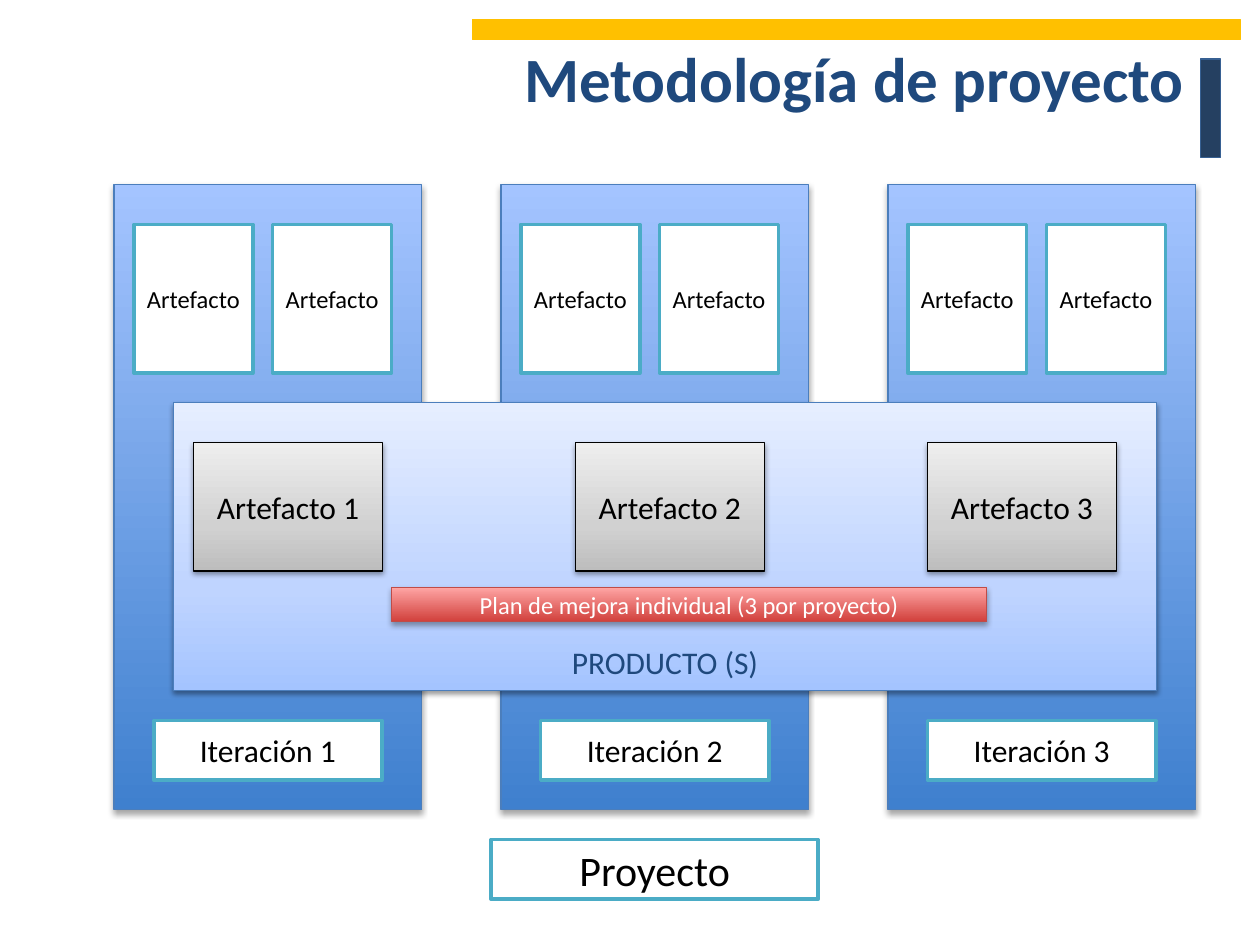
from dataclasses import dataclass
from typing import Optional

from lxml.etree import SubElement
from pptx import Presentation
from pptx.dml.color import RGBColor
from pptx.enum.shapes import MSO_SHAPE
from pptx.enum.text import MSO_ANCHOR as Anchor, PP_ALIGN as Align
from pptx.oxml.ns import qn
from pptx.util import Pt

FONT = "Calibri"
NAVY = "1F497D"
BLACK = "000000"


@dataclass(frozen=True)
class Shadow:
    opacity: int
    distance: float
    blur: float = 3.1


DEEP = Shadow(35, 1.8)
SOFT = Shadow(38, 1.6)


@dataclass(frozen=True)
class Style:
    """Look of a box; stops run from bottom to top as (percent, colour)."""
    stops: tuple
    line: str
    line_width: float = 0.75
    shadow: Optional[Shadow] = None
    text: str = BLACK
    size: float = 18


@dataclass(frozen=True)
class Box:
    left: float
    top: float
    width: float
    height: float


COLUMN = Style(((0, "3F80CE"), (100, "A4C4FF")), "4B7EBC", shadow=DEEP)
PRODUCT = Style(((0, "A4C4FF"), (35, "BFD4FF"), (100, "E6EEFF")), "4B7EBC",
                shadow=SOFT, text=NAVY)
DELIVERABLE = Style(((0, "BDBDBD"), (35, "D1D1D1"), (100, "EEEEEE")), BLACK,
                    shadow=SOFT)
PLAN = Style(((0, "D1403C"), (100, "FFA6A5")), "BF4C48", shadow=DEEP,
             text="FFFFFF", size=14)
ARTIFACT = Style(((0, "FFFFFF"),), "4BACC6", 2, size=14)
ITERATION = Style(((0, "FFFFFF"),), "4BACC6", 2)
PROJECT = Style(((0, "FFFFFF"),), "4BACC6", 2, size=24)
YELLOW_BAR = Style(((0, "FFC000"),), "FFC000")
NAVY_BAR = Style(((0, "254061"),), "376092")


def rgb(value: str) -> RGBColor:
    return RGBColor.from_string(value)


def place(shape, box: Box) -> None:
    shape.left, shape.top = Pt(box.left), Pt(box.top)
    shape.width, shape.height = Pt(box.width), Pt(box.height)


def paint(shape, stops: tuple) -> None:
    if len(stops) == 1:
        shape.fill.solid()
        shape.fill.fore_color.rgb = rgb(stops[0][1])
        return
    shape.fill.gradient()
    shape.fill.gradient_angle = 90
    stop_list = shape._element.spPr.find(qn("a:gradFill")).find(qn("a:gsLst"))
    for old in list(stop_list):
        stop_list.remove(old)
    for percent, colour in stops:
        stop = SubElement(stop_list, qn("a:gs"), pos=str(percent * 1000))
        SubElement(stop, qn("a:srgbClr"), val=colour)


def cast_shadow(shape, shadow: Optional[Shadow]) -> None:
    shape.shadow.inherit = False
    if shadow is None:
        return
    effects = shape._element.spPr.find(qn("a:effectLst"))
    outer = SubElement(effects, qn("a:outerShdw"), blurRad=str(Pt(shadow.blur)),
                       dist=str(Pt(shadow.distance)), dir="5400000",
                       rotWithShape="0")
    colour = SubElement(outer, qn("a:srgbClr"), val=BLACK)
    SubElement(colour, qn("a:alpha"), val=str(shadow.opacity * 1000))


def write(shape, text: str, size: float, colour: str, align=Align.CENTER,
          anchor=Anchor.MIDDLE, bold: bool = False) -> None:
    frame = shape.text_frame
    frame.text = text
    frame.word_wrap = True
    frame.vertical_anchor = anchor
    paragraph = frame.paragraphs[0]
    paragraph.alignment = align
    font = paragraph.runs[0].font
    font.name, font.size, font.bold = FONT, Pt(size), bold
    font.color.rgb = rgb(colour)


def draw(slide, box: Box, style: Style, text: str = "", anchor=Anchor.MIDDLE):
    shape = slide.shapes.add_shape(MSO_SHAPE.RECTANGLE, 0, 0, 0, 0)
    place(shape, box)
    paint(shape, style.stops)
    shape.line.color.rgb = rgb(style.line)
    shape.line.width = Pt(style.line_width)
    cast_shadow(shape, style.shadow)
    if text:
        frame = shape.text_frame
        frame.margin_left = frame.margin_right = 0
        frame.margin_top = frame.margin_bottom = Pt(0)
        write(shape, text, style.size, style.text, anchor=anchor)
    return shape


def main() -> None:
    deck = Presentation()
    deck.slide_width, deck.slide_height = Pt(720), Pt(540)
    slide = deck.slides.add_slide(deck.slide_layouts[5])

    draw(slide, Box(686.2, 33.8, 11.4, 56.2), NAVY_BAR)
    draw(slide, Box(270, 11.3, 438.8, 11.4), YELLOW_BAR)
    title = slide.shapes.title
    place(title, Box(36, 21.6, 648, 90))
    write(title, "Metodología de proyecto", 36, NAVY, Align.RIGHT, Anchor.TOP,
          bold=True)
    title.text_frame.margin_top = Pt(1)

    column_lefts = [65.2 + 221.1 * index for index in range(3)]
    for left in column_lefts:
        draw(slide, Box(left, 105.6, 175.8, 357.2), COLUMN)

    product = draw(slide, Box(99.2, 230, 561.6, 164.6), PRODUCT,
                   "PRODUCTO (S)", Anchor.BOTTOM)
    product.text_frame.margin_bottom = Pt(5.3)

    for left in column_lefts:
        for offset in (11.3, 90.6):
            draw(slide, Box(left + offset, 128.2, 68, 85), ARTIFACT, "Artefacto")

    for number, left in enumerate((110.6, 328.8, 530), 1):
        draw(slide, Box(left, 252.8, 108, 73.6), DELIVERABLE,
             f"Artefacto {number}")

    draw(slide, Box(223.9, 335.6, 340, 19.6), PLAN,
         "Plan de mejora individual (3 por proyecto)")

    for number, left in enumerate(column_lefts, 1):
        draw(slide, Box(left + 22.7, 411.8, 130.4, 34), ITERATION,
             f"Iteración {number}")

    draw(slide, Box(280.6, 479.8, 187, 34), PROJECT, "Proyecto")
    deck.save("out.pptx")


if __name__ == "__main__":
    main()
